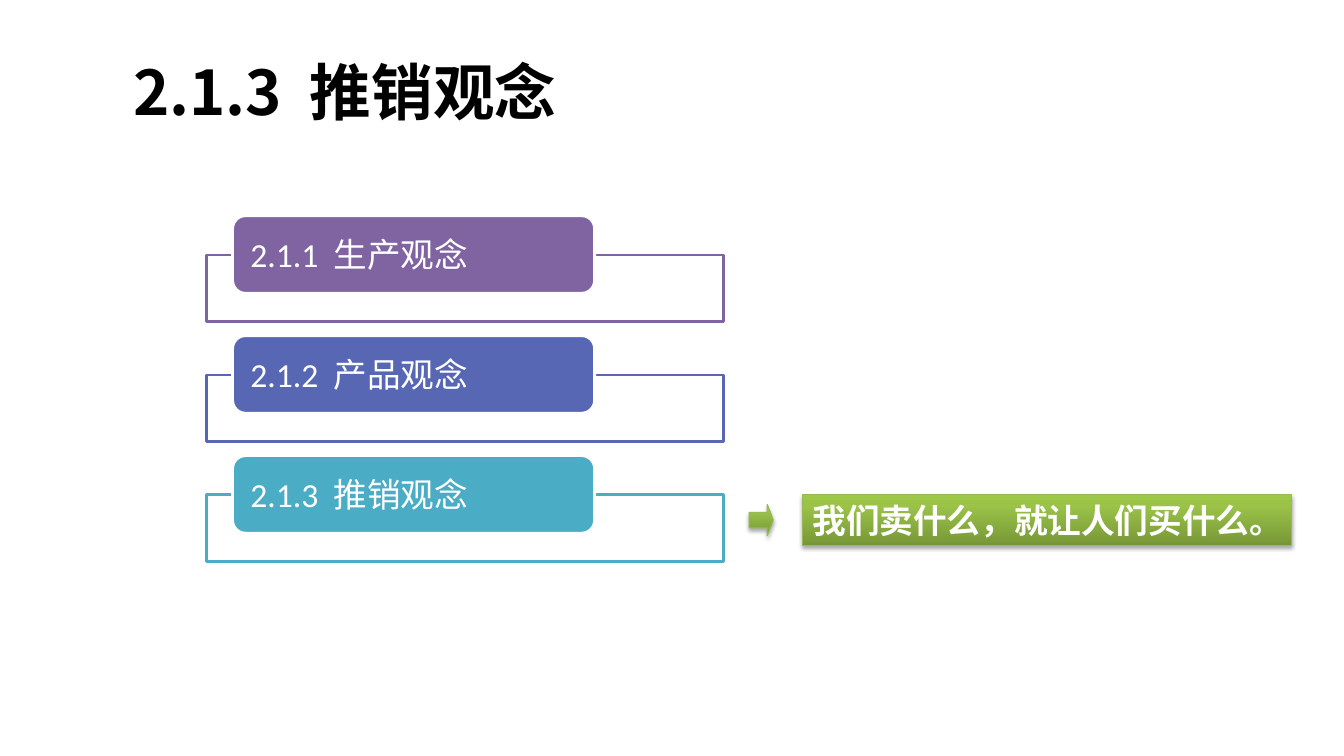
from copy import deepcopy

from lxml import etree
from pptx import Presentation
from pptx.dml.color import RGBColor
from pptx.enum.shapes import MSO_SHAPE
from pptx.enum.text import MSO_ANCHOR, PP_ALIGN
from pptx.oxml.ns import qn
from pptx.util import Inches, Pt

RECTANGLE = MSO_SHAPE.RECTANGLE
ROUNDED = MSO_SHAPE.ROUNDED_RECTANGLE
RIGHT_ARROW = MSO_SHAPE.RIGHT_ARROW
MIDDLE = MSO_ANCHOR.MIDDLE
LEFT = PP_ALIGN.LEFT

BLACK = RGBColor(0x00, 0x00, 0x00)
WHITE = RGBColor(0xFF, 0xFF, 0xFF)
PURPLE = RGBColor(0x80, 0x64, 0xA2)
BLUE = RGBColor(0x57, 0x67, 0xB4)
TEAL = RGBColor(0x4B, 0xAC, 0xC6)
GREEN_EDGE = RGBColor(0x98, 0xB9, 0x55)
GREEN_STOPS = (
    (0, RGBColor(0x77, 0x97, 0x37)),
    (0.8, RGBColor(0x9B, 0xC3, 0x48)),
    (1, RGBColor(0x9D, 0xC7, 0x46)),
)

CHINESE_FONT = "Noto Sans CJK SC"
CONCEPTS = (
    ("2.1.1", "生产观念", PURPLE),
    ("2.1.2", "产品观念", BLUE),
    ("2.1.3", "推销观念", TEAL),
)
ROW_PITCH = 1.19
ROW_HEIGHT = 1.05


def add_span(para, text, size, font, color, bold=False, spacing=0):
    span = para.add_run()
    span.text = text
    span.font.size = Pt(size)
    span.font.name = font
    span.font.bold = bold
    span.font.color.rgb = color
    properties = span._r.get_or_add_rPr()
    if spacing:
        properties.set("spc", str(round(spacing * 100)))
    east_asian = etree.Element(qn("a:ea"), typeface=CHINESE_FONT)
    properties.find(qn("a:latin")).addnext(east_asian)


def add_heading(para, number, name, size, font, color, bold=False):
    para.alignment = LEFT
    add_span(para, number, size, font, color, bold)
    add_span(para, " ", size, font, color, bold, spacing=size * 0.22)
    add_span(para, name, size, font, color, bold)


def add_block(page, kind, box, edge, width):
    block = page.shapes.add_shape(kind, *(Inches(length) for length in box))
    block.shadow.inherit = False
    block.line.color.rgb = edge
    block.line.width = Pt(width)
    return block


def add_green_block(page, kind, box):
    block = add_block(page, kind, box, GREEN_EDGE, 0.75)
    block.fill.gradient()
    block.fill.gradient_angle = 90
    properties = block._element.spPr
    stop_list = properties.find(qn("a:gradFill")).find(qn("a:gsLst"))
    stop_list.append(deepcopy(stop_list[-1]))
    for stop, (position, color) in zip(block.fill.gradient_stops, GREEN_STOPS):
        stop.position = position
        stop.color.rgb = color
    shadow = etree.SubElement(
        properties.find(qn("a:effectLst")), qn("a:outerShdw"),
        blurRad=str(Pt(3.1)), dist=str(Pt(1.8)), dir="5400000", rotWithShape="0",
    )
    shade = etree.SubElement(shadow, qn("a:srgbClr"), val=str(BLACK))
    etree.SubElement(shade, qn("a:alpha"), val="35000")
    return block


def add_title(page, box):
    title = page.shapes.title
    title.left, title.top, title.width, title.height = (Inches(length) for length in box)
    title.text_frame.vertical_anchor = MIDDLE
    add_heading(title.text_frame.paragraphs[0], "2.1.3", "推销观念", 44, CHINESE_FONT, BLACK, True)


def add_concept(page, box, number, name, color):
    left, top, width, height = box
    frame_top = 0.39
    frame_box = (left, top + frame_top, width, height - frame_top)
    frame = add_block(page, RECTANGLE, frame_box, color, 2)
    frame.fill.solid()
    frame.fill.fore_color.rgb = WHITE
    fill_color = frame._element.spPr.find(qn("a:solidFill"))[0]
    etree.SubElement(fill_color, qn("a:alpha"), val="90000")

    tab_box = (left + width * 0.05, top, width * 0.7, 0.77)
    tab = add_block(page, ROUNDED, tab_box, WHITE, 2)
    tab.fill.solid()
    tab.fill.fore_color.rgb = color
    text = tab.text_frame
    text.word_wrap = True
    text.vertical_anchor = MIDDLE
    text.margin_left = text.margin_right = Inches(0.14)
    text.margin_top = text.margin_bottom = 0
    add_heading(text.paragraphs[0], number, name, 24, "Calibri", WHITE)


def add_concept_list(page, box):
    left, top, width = box
    for row, concept in enumerate(CONCEPTS):
        add_concept(page, (left, top + row * ROW_PITCH, width, ROW_HEIGHT), *concept)


def add_slogan(page, box):
    left, top, width, height = box
    arrow_height = 0.31
    arrow_top = top + (height - arrow_height) / 2
    arrow = add_green_block(page, RIGHT_ARROW, (left, arrow_top, 0.24, arrow_height))
    arrow.adjustments[1] = 0.25
    indent = 0.53
    banner = add_green_block(page, RECTANGLE, (left + indent, top, width - indent, height))
    text = banner.text_frame
    text.word_wrap = True
    text.vertical_anchor = MIDDLE
    para = text.paragraphs[0]
    para.alignment = LEFT
    add_span(para, "我们卖什么，就让人们买什么。", 24, "Times New Roman", WHITE, True)


def main():
    deck = Presentation()
    deck.slide_width = Inches(13.33)
    deck.slide_height = Inches(7.5)
    page = deck.slides.add_slide(deck.slide_layouts[5])
    add_title(page, (1.22, 0.28, 11.31, 1.25))
    add_concept_list(page, (2.05, 2.14, 5.13))
    add_slogan(page, (7.43, 4.91, 5.38, 0.5))
    deck.save("out.pptx")


if __name__ == "__main__":
    main()
